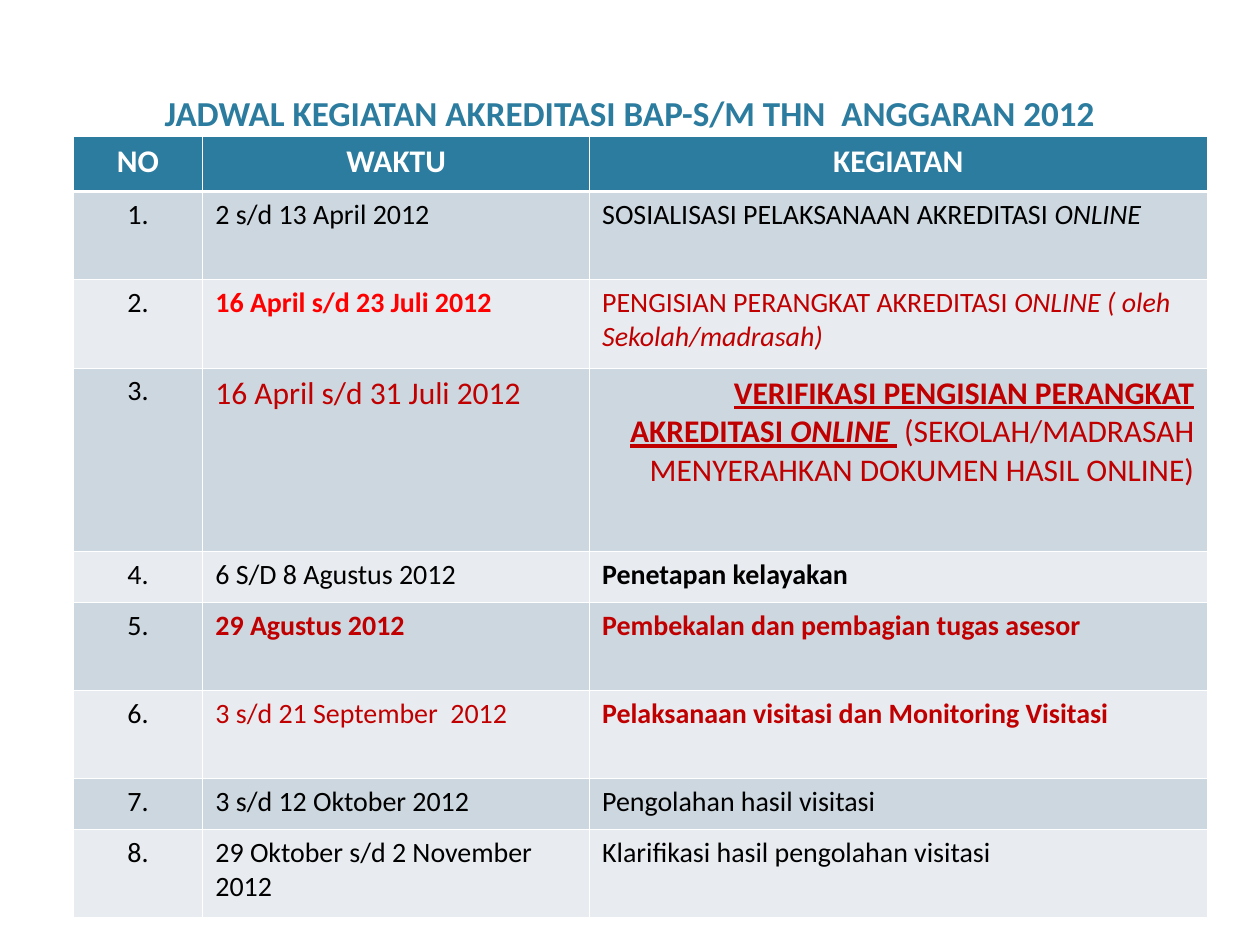
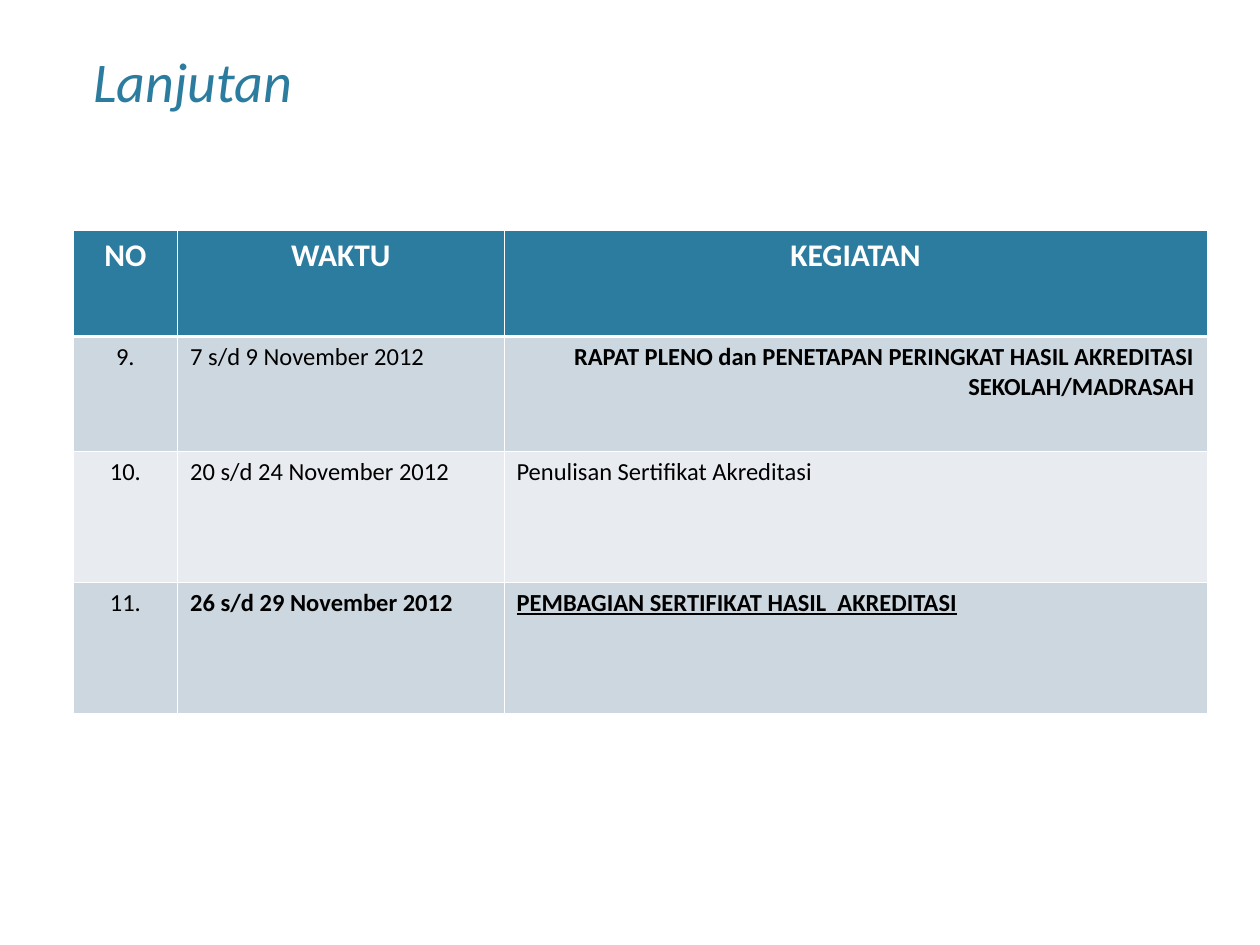
from lxml.etree import SubElement
from pptx import Presentation
from pptx.dml.color import RGBColor
from pptx.enum.text import MSO_ANCHOR as Anchor, MSO_AUTO_SIZE as AutoSize, PP_ALIGN as Align
from pptx.oxml.ns import qn
from pptx.util import Inches, Pt

TITLE_ONLY = 5
TEAL, WHITE, BLACK = "2C7C9F", "FFFFFF", "000000"
RED, DARK_RED = "FF0000", "C00000"
BANDS = ("CDD7DF", "E8ECF0")
THIN, THICK = 0.45, 1.47
HEADINGS = ("NO", "WAKTU", "KEGIATAN")

BOLD = {"bold": True}
ITALIC = {"italic": True}
UNDERLINED = {"bold": True, "underline": True}
IN_RED = {"color": DARK_RED}
BOLD_RED = {"color": DARK_RED, "bold": True}
LARGE_RED = {"color": DARK_RED, "size": 18}

# Each row: time runs, activity runs, activity alignment; a run is (text, format).
FIRST_ROWS = [
    ([("2 s/d 13 April 2012", {})],
     [("SOSIALISASI PELAKSANAAN AKREDITASI ", {}), ("ONLINE", ITALIC)], Align.LEFT),
    ([("16 April s/d 23 Juli 2012", {"color": RED, "bold": True})],
     [("PENGISIAN PERANGKAT AKREDITASI ", IN_RED),
      ("ONLINE ( oleh Sekolah/madrasah)", IN_RED | ITALIC)], Align.LEFT),
    ([("16 April s/d 31 Juli 2012", LARGE_RED)],
     [("VERIFIKASI PENGISIAN PERANGKAT AKREDITASI ", LARGE_RED | UNDERLINED),
      ("ONLINE ", LARGE_RED | UNDERLINED | ITALIC),
      (" (SEKOLAH/MADRASAH MENYERAHKAN DOKUMEN HASIL ONLINE)", LARGE_RED)], Align.RIGHT),
    ([("6 S/D 8 Agustus 2012", {})], [("Penetapan kelayakan", BOLD)], Align.LEFT),
    ([("29 Agustus 2012", BOLD_RED)],
     [("Pembekalan dan pembagian tugas asesor", BOLD_RED)], Align.LEFT),
    ([("3 s/d 21 September  2012", IN_RED)],
     [("Pelaksanaan visitasi dan Monitoring Visitasi", BOLD_RED)], Align.LEFT),
    ([("3 s/d 12 Oktober 2012", {})], [("Pengolahan hasil visitasi", {})], Align.LEFT),
    ([("29 Oktober s/d 2 November 2012", {})],
     [("Klarifikasi hasil pengolahan visitasi", {})], Align.LEFT),
]
LAST_ROWS = [
    ([("7 s/d 9 November 2012", {})],
     [("RAPAT PLENO dan PENETAPAN PERINGKAT HASIL AKREDITASI SEKOLAH/MADRASAH", BOLD)],
     Align.RIGHT),
    ([("20 s/d 24 November 2012", {})], [("Penulisan Sertifikat Akreditasi", {})], Align.LEFT),
    ([("26 s/d 29 November 2012", BOLD)],
     [("PEMBAGIAN SERTIFIKAT HASIL  AKREDITASI", UNDERLINED)], Align.LEFT),
]


def rgb(color):
    return RGBColor.from_string(color)


def add_borders(cell, widths):
    """Draw white borders; widths maps a side (L, R, T, B) to points."""
    properties = cell._tc.get_or_add_tcPr()
    for side, width in widths.items():
        line = SubElement(properties, qn(f"a:ln{side}"), w=str(Pt(width)))
        fill = SubElement(line, qn("a:solidFill"))
        SubElement(fill, qn("a:srgbClr"), val=WHITE)


class ScheduleDeck:
    font_name = "Calibri"

    def __init__(self):
        self.presentation = Presentation()
        self.presentation.slide_width = Inches(10)
        self.presentation.slide_height = Inches(7.5)
        self.slide = None

    def add_slide(self):
        layout = self.presentation.slide_layouts[TITLE_ONLY]
        self.slide = self.presentation.slides.add_slide(layout)

    def add_runs(self, frame, runs, align, **base):
        paragraph = frame.paragraphs[0]
        paragraph.alignment = align
        for text, changes in runs:
            run = paragraph.add_run()
            run.text = text
            values = {"name": self.font_name, "bold": False, "italic": False} | base | changes
            run.font.color.rgb = rgb(values.pop("color"))
            run.font.size = Pt(values.pop("size"))
            for name, value in values.items():
                setattr(run.font, name, value)

    def title(self, text, left, top, width, height, **style):
        shape = self.slide.shapes.title
        place = {"left": left, "top": top, "width": width, "height": height}
        for name, value in place.items():
            setattr(shape, name, Inches(value))
        frame = shape.text_frame
        frame_format = {"auto_size": AutoSize.NONE, "vertical_anchor": Anchor.BOTTOM,
                        "word_wrap": True, "margin_top": 0, "margin_bottom": Inches(0.02)}
        for name, value in frame_format.items():
            setattr(frame, name, value)
        self.add_runs(frame, [(text, {})], Align.CENTER, color=TEAL, **style)

    def cell(self, cell, runs, align, fill, widths, **style):
        add_borders(cell, widths)
        cell.fill.solid()
        cell.fill.fore_color.rgb = rgb(fill)
        self.add_runs(cell.text_frame, runs, align, **style)

    def schedule(self, top, column_widths, row_heights, rows, first_number, size):
        frame = self.slide.shapes.add_table(
            len(row_heights), len(column_widths), Inches(0.58), Inches(top),
            Inches(sum(column_widths)), Inches(sum(row_heights)))
        table = frame.table
        for column, width in zip(table.columns, column_widths):
            column.width = Inches(width)
        for row, height in zip(table.rows, row_heights):
            row.height = Inches(height)

        thin = dict.fromkeys("LRTB", THIN)
        for column, heading in enumerate(HEADINGS):
            self.cell(table.cell(0, column), [(heading, {})], Align.CENTER, TEAL,
                      thin | {"B": THICK}, color=WHITE, size=18, bold=True)
        for index, (time, activity, align) in enumerate(rows):
            number = [(f"{first_number + index}.", {})]
            widths = thin if index else thin | {"T": THICK}
            contents = ((number, Align.CENTER), (time, Align.LEFT), (activity, align))
            for column, (runs, alignment) in enumerate(contents):
                self.cell(table.cell(index + 1, column), runs, alignment,
                          BANDS[index % 2], widths, color=BLACK, size=size)


def main():
    deck = ScheduleDeck()

    deck.add_slide()
    deck.title("JADWAL KEGIATAN AKREDITASI BAP-S/M THN  ANGGARAN 2012",
               0.5, 0.5, 9, 0.58, size=20, bold=True)
    deck.schedule(1.08, (1.03, 3.07, 4.9),
                  (0.44, 0.7, 0.7, 1.46, 0.4, 0.7, 0.7, 0.4, 0.7),
                  FIRST_ROWS, first_number=1, size=16)

    deck.add_slide()
    deck.title("Lanjutan ", 0.51, 0.36, 2.14, 0.56, size=32, italic=True)
    deck.schedule(1.83, (0.83, 2.59, 5.58), (0.84, 0.91, 1.04, 1.04),
                  LAST_ROWS, first_number=len(FIRST_ROWS) + 1, size=14)

    deck.presentation.save("out.pptx")


if __name__ == "__main__":
    main()
